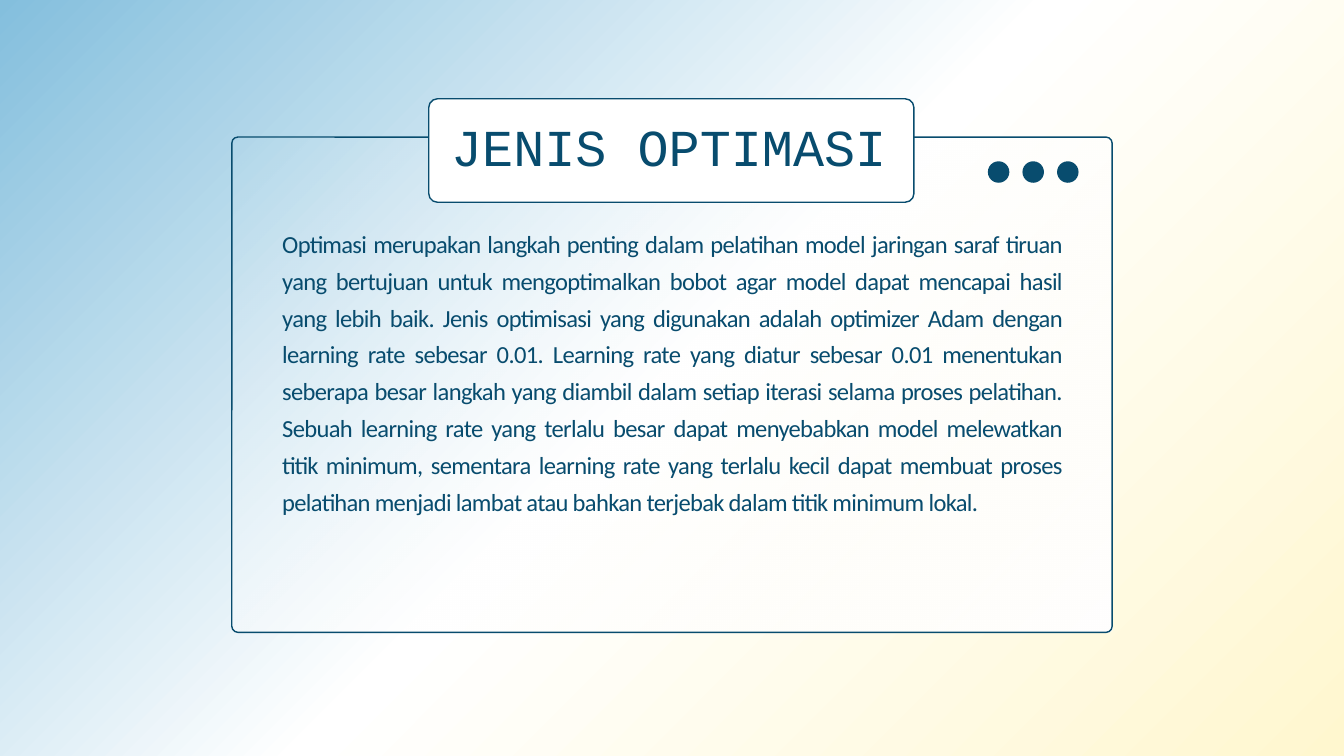
from lxml import etree
from pptx import Presentation, util as u
from pptx.dml.color import RGBColor
from pptx.enum import shapes, text
from pptx.oxml import ns

NAVY, WHITE = "084C6E", "FFFFFF"
BACKGROUND = [(0, "84BFDD", 100), (50, WHITE, 100), (100, "FFF7CF", 100)]
PANEL_FILL = [(0, WHITE, 0), (100, WHITE, 100)]
PANEL = (3.45, 2.04, 13.1, 7.37)
TITLE_CARD = (6.38, 1.47, 7.22, 1.54)
DOT_LEFT, DOT_TOP, DOT_SIZE, DOT_STEP, DOT_COUNT = 14.7, 2.4, 0.32, 0.515, 3
TITLE = "JENIS OPTIMASI"
BODY = (
    "Optimasi merupakan langkah penting dalam pelatihan model jaringan saraf tiruan "
    "yang bertujuan untuk mengoptimalkan bobot agar model dapat mencapai hasil "
    "yang lebih baik. Jenis optimisasi yang digunakan adalah optimizer Adam dengan "
    "learning rate sebesar 0.01. Learning rate yang diatur sebesar 0.01 menentukan "
    "seberapa besar langkah yang diambil dalam setiap iterasi selama proses pelatihan. "
    "Sebuah learning rate yang terlalu besar dapat menyebabkan model melewatkan "
    "titik minimum, sementara learning rate yang terlalu kecil dapat membuat proses "
    "pelatihan menjadi lambat atau bahkan terjebak dalam titik minimum lokal."
)


def color(value):
    return RGBColor.from_string(value)


def set_gradient(fill, parent, stops):
    fill.solid()
    grad = etree.Element(ns.qn("a:gradFill"), rotWithShape="1")
    gs_list = etree.SubElement(grad, ns.qn("a:gsLst"))
    for pos, value, alpha in stops:
        gs = etree.SubElement(gs_list, ns.qn("a:gs"), pos=str(pos * 1000))
        clr = etree.SubElement(gs, ns.qn("a:srgbClr"), val=value)
        etree.SubElement(clr, ns.qn("a:alpha"), val=str(alpha * 1000))
    circle = etree.SubElement(grad, ns.qn("a:path"), path="circle")
    etree.SubElement(circle, ns.qn("a:fillToRect"), l="0", t="0", r="100000", b="100000")
    solid = parent.find(ns.qn("a:solidFill"))
    parent.replace(solid, grad)


def add_shape(s, kind, box, fill=None, stops=None, line=None, radius=None):
    sp = s.shapes.add_shape(kind, *map(u.Inches, box))
    sp.shadow.inherit = False
    if stops:
        set_gradient(sp.fill, sp._element.spPr, stops)
    else:
        sp.fill.solid()
        sp.fill.fore_color.rgb = color(fill)
    if line:
        sp.line.color.rgb = color(line)
        sp.line.width = u.Pt(1.5)
    else:
        sp.line.fill.background()
    if radius:
        sp.adjustments[0] = radius / min(box[2:])
    return sp


def add_text(s, content, box, *, font, size, align, leading, spacing=0):
    tf = s.shapes.add_textbox(*map(u.Inches, box)).text_frame
    tf.word_wrap = True
    tf.margin_left = tf.margin_top = tf.margin_right = tf.margin_bottom = 0
    p = tf.paragraphs[0]
    p.alignment = align
    p.line_spacing = u.Pt(leading)
    r = p.add_run()
    r.text = content
    r.font.name, r.font.size = font, u.Pt(size)
    r.font.color.rgb = color(NAVY)
    if spacing:
        r._r.get_or_add_rPr().set("spc", str(round(spacing * 100)))


def main():
    """Build the slide with its framed text panel and title card."""
    prs = Presentation()
    prs.slide_width, prs.slide_height = u.Inches(20), u.Inches(11.25)
    s = prs.slides.add_slide(prs.slide_layouts[6])
    fill = s.background.fill
    fill.solid()
    set_gradient(fill, s._element.find(".//" + ns.qn("p:bgPr")), BACKGROUND)

    rounded = shapes.MSO_SHAPE.ROUNDED_RECTANGLE
    add_shape(s, rounded, PANEL, stops=PANEL_FILL, line=NAVY, radius=0.09)
    add_text(s, BODY, (4.2, 3.3, 11.6, 6.05), font="Calibri", size=26.3,
             align=text.PP_ALIGN.JUSTIFY, leading=39.4, spacing=-0.7)
    for i in range(DOT_COUNT):
        box = (DOT_LEFT + i * DOT_STEP, DOT_TOP, DOT_SIZE, DOT_SIZE)
        add_shape(s, shapes.MSO_SHAPE.OVAL, box, fill=NAVY)
    add_shape(s, rounded, TITLE_CARD, fill=WHITE, line=NAVY, radius=0.13)
    add_text(s, TITLE, (6.08, 1.71, 7.75, 1.01), font="Courier New", size=55.5,
             align=text.PP_ALIGN.CENTER, leading=66.6)
    prs.save("out.pptx")


if __name__ == "__main__":
    main()
